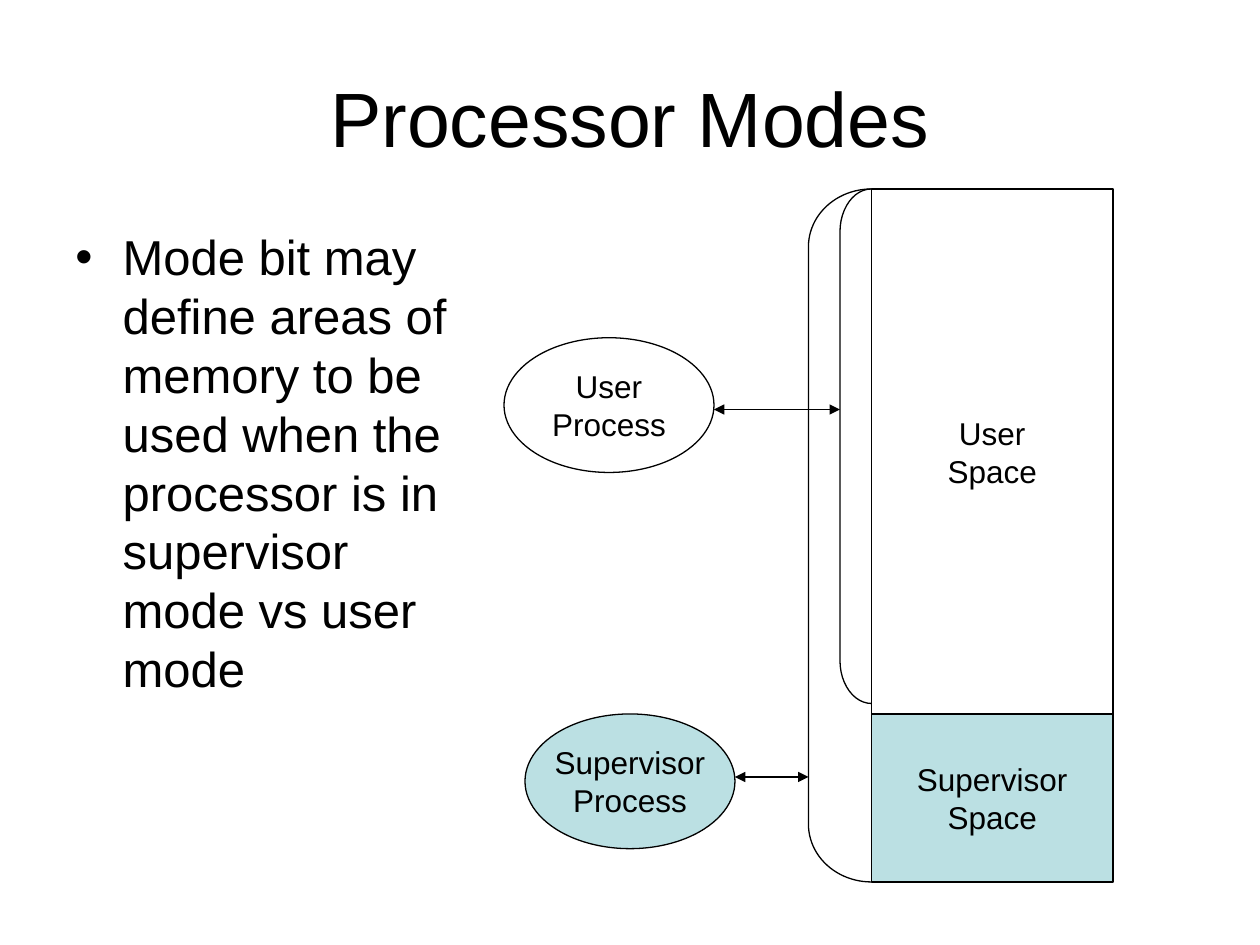
"""Build the Processor Modes slide with its memory-space diagram."""
from dataclasses import dataclass

from lxml import etree
from pptx import Presentation
from pptx import util as u
from pptx.dml.color import RGBColor
from pptx.enum import shapes, text
from pptx.oxml.ns import qn

FONT = "Arial"
BLACK = "000000"
WHITE = "FFFFFF"
TEAL = "BBE0E3"
LINE_WIDTH = 0.75
MEMORY_LEFT, MEMORY_TOP, MEMORY_WIDTH = 498.0, 108.0, 138.0
USER_HEIGHT, SUPERVISOR_HEIGHT = 300.0, 96.0
SUPERVISOR_TOP = MEMORY_TOP + USER_HEIGHT
PROCESS_WIDTH, PROCESS_HEIGHT = 120.0, 77.0
USER_REACH, SUPERVISOR_REACH = 18.0, 36.0


@dataclass
class Node:
    kind: shapes.MSO_SHAPE
    label: str
    left: float
    top: float
    width: float
    height: float
    fill: str | None


@dataclass
class Bracket:
    reach: float
    height: float
    corner: float


@dataclass
class Arrow:
    start: float
    end: float
    y: float


NODES = [
    Node(shapes.MSO_SHAPE.RECTANGLE, "User\nSpace", MEMORY_LEFT, MEMORY_TOP,
         MEMORY_WIDTH, USER_HEIGHT, WHITE),
    Node(shapes.MSO_SHAPE.RECTANGLE, "Supervisor\nSpace", MEMORY_LEFT, SUPERVISOR_TOP,
         MEMORY_WIDTH, SUPERVISOR_HEIGHT, TEAL),
    Node(shapes.MSO_SHAPE.OVAL, "Supervisor\nProcess", 300, SUPERVISOR_TOP,
         PROCESS_WIDTH, PROCESS_HEIGHT, TEAL),
    Node(shapes.MSO_SHAPE.OVAL, "User\nProcess", 288, 193,
         PROCESS_WIDTH, PROCESS_HEIGHT, None),
]
BRACKETS = [
    Bracket(USER_REACH, 294, 24.5),
    Bracket(SUPERVISOR_REACH, USER_HEIGHT + SUPERVISOR_HEIGHT, 33),
]
ARROWS = [
    Arrow(288 + PROCESS_WIDTH, MEMORY_LEFT - USER_REACH, 234),
    Arrow(300 + PROCESS_WIDTH, MEMORY_LEFT - SUPERVISOR_REACH, 444),
]


def color(value: str) -> RGBColor:
    """Turn a hex string into a colour."""
    return RGBColor.from_string(value)


def style_text(text_frame, size: float, alignment) -> None:
    """Format every paragraph and run of a text frame."""
    for paragraph in text_frame.paragraphs:
        paragraph.alignment = alignment
        for run in paragraph.runs:
            run.font.name = FONT
            run.font.size = u.Pt(size)
            run.font.color.rgb = color(BLACK)


def style_line(line) -> None:
    """Give a line the diagram's thin black stroke."""
    line.color.rgb = color(BLACK)
    line.width = u.Pt(LINE_WIDTH)


def add_title(slide, title: str) -> None:
    """Fill and place the title placeholder."""
    shape = slide.shapes.title
    shape.left, shape.top, shape.width, shape.height = map(u.Pt, (36, 21.6, 648, 90))
    text_frame = shape.text_frame
    text_frame.text = title
    text_frame.auto_size = text.MSO_AUTO_SIZE.NONE
    text_frame.vertical_anchor = text.MSO_ANCHOR.MIDDLE
    style_text(text_frame, 44, text.PP_ALIGN.CENTER)


def add_bullet_text(slide, content: str) -> None:
    """Add the bulleted statement on the left."""
    shape = slide.shapes.add_textbox(*map(u.Pt, (36, 126, 246, 356.4)))
    text_frame = shape.text_frame
    text_frame.word_wrap = True
    text_frame.text = content
    properties = text_frame.paragraphs[0]._p.get_or_add_pPr()
    indent = u.Pt(27)
    properties.set("marL", str(indent))
    properties.set("indent", str(-indent))
    etree.SubElement(properties, qn("a:buFont"), typeface=FONT)
    etree.SubElement(properties, qn("a:buChar"), char="•")
    style_text(text_frame, 28, text.PP_ALIGN.LEFT)


def add_node(slide, node: Node) -> None:
    """Add a labelled memory area or process."""
    shape = slide.shapes.add_shape(
        node.kind, *map(u.Pt, (node.left, node.top, node.width, node.height)))
    shape.shadow.inherit = False
    if node.fill is None:
        shape.fill.background()
    else:
        shape.fill.solid()
        shape.fill.fore_color.rgb = color(node.fill)
    style_line(shape.line)
    text_frame = shape.text_frame
    text_frame.text = node.label
    text_frame.word_wrap = False
    text_frame.vertical_anchor = text.MSO_ANCHOR.MIDDLE
    style_text(text_frame, 18, text.PP_ALIGN.CENTER)


def add_bracket(slide, bracket: Bracket) -> None:
    """Add a bracket spanning the memory a process may reach."""
    shape = slide.shapes.add_shape(
        shapes.MSO_SHAPE.LEFT_BRACKET,
        *map(u.Pt, (MEMORY_LEFT - bracket.reach, MEMORY_TOP, bracket.reach, bracket.height)))
    shape.adjustments[0] = bracket.corner / bracket.reach
    shape.shadow.inherit = False
    shape.fill.background()
    style_line(shape.line)


def add_arrow(slide, arrow: Arrow) -> None:
    """Add a horizontal double-headed arrow."""
    connector = slide.shapes.add_connector(
        shapes.MSO_CONNECTOR.STRAIGHT,
        *map(u.Pt, (arrow.start, arrow.y, arrow.end, arrow.y)))
    style_line(connector.line)
    line = connector.line._get_or_add_ln()
    for end in ("a:headEnd", "a:tailEnd"):
        etree.SubElement(line, qn(end), type="triangle")
    etree.SubElement(connector._element.spPr, qn("a:effectLst"))


def main() -> None:
    """Create and save the presentation."""
    presentation = Presentation()
    presentation.slide_width, presentation.slide_height = u.Pt(720), u.Pt(540)
    slide = presentation.slides.add_slide(presentation.slide_layouts[5])
    add_title(slide, "Processor Modes")
    add_bullet_text(slide, "Mode bit may define areas of memory to be used when "
                           "the processor is in supervisor mode vs user mode")
    for node in NODES:
        add_node(slide, node)
    for bracket in BRACKETS:
        add_bracket(slide, bracket)
    for arrow in ARROWS:
        add_arrow(slide, arrow)
    presentation.save("out.pptx")


if __name__ == "__main__":
    main()
